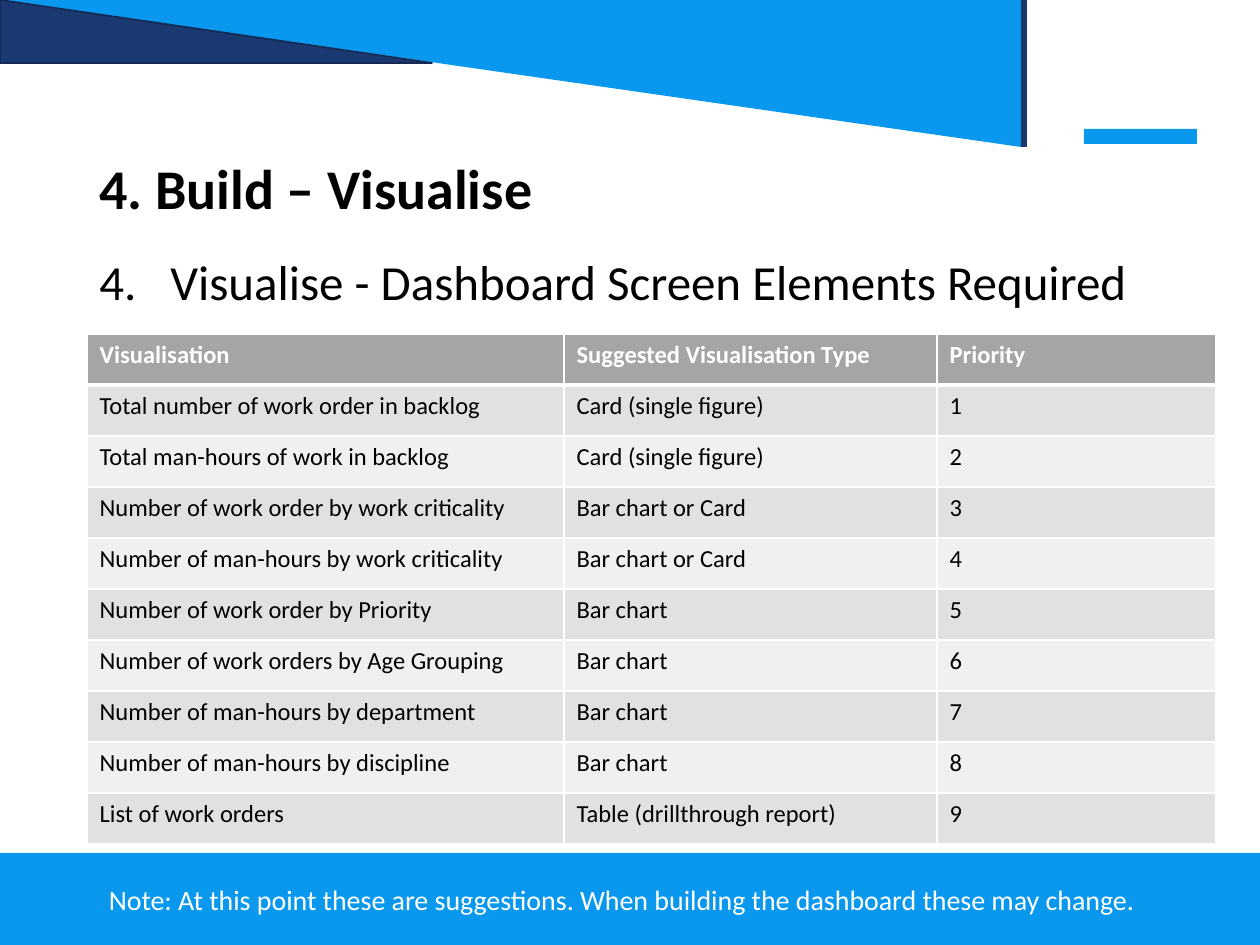
from lxml.etree import SubElement
from pptx import Presentation
from pptx.dml.color import RGBColor
from pptx.enum.shapes import MSO_SHAPE
from pptx.enum.text import MSO_ANCHOR, PP_ALIGN
from pptx.oxml.ns import qn
from pptx.util import Emu, Pt

EMU_PER_PX = 914400 / 126
FONT = "Calibri"
COLORS = {
    "blue": "0998ED",
    "navy": "1B3971",
    "navy_edge": "142A54",
    "black": "000000",
    "white": "FFFFFF",
    "header": "A5A5A5",
    "odd_row": "E1E1E1",
    "even_row": "F0F0F0",
}
COLUMN_WIDTHS = [477, 373, 279]
ROW_HEIGHT = 51
HEADINGS = ("Visualisation", "Suggested Visualisation Type", "Priority")
VISUALISATIONS = [
    ("Total number of work order in backlog", "Card (single figure)"),
    ("Total man-hours of work in backlog", "Card (single figure)"),
    ("Number of work order by work criticality", "Bar chart or Card"),
    ("Number of man-hours by work criticality", "Bar chart or Card"),
    ("Number of work order by Priority", "Bar chart"),
    ("Number of work orders by Age Grouping", "Bar chart"),
    ("Number of man-hours by department", "Bar chart"),
    ("Number of man-hours by discipline", "Bar chart"),
    ("List of work orders", "Table (drillthrough report)"),
]


def px(length):
    return Emu(round(length * EMU_PER_PX))


def color(name):
    return RGBColor.from_string(COLORS[name])


def add_block(slide, kind, box, fill, line=None):
    shape = slide.shapes.add_shape(kind, *map(px, box))
    shape.shadow.inherit = False
    shape.fill.solid()
    shape.fill.fore_color.rgb = color(fill)
    if line:
        shape.line.color.rgb = color(line)
        shape.line.width = Pt(1)
    else:
        shape.line.fill.background()
    return shape


def style_font(paragraph, size, color_name, bold=False):
    font = paragraph.font
    font.name = FONT
    font.size = Pt(size)
    font.bold = bold
    font.color.rgb = color(color_name)


def add_text(slide, box, text, size, color_name, bold=False, anchor=MSO_ANCHOR.TOP):
    frame = slide.shapes.add_textbox(*map(px, box)).text_frame
    frame.word_wrap = True
    frame.vertical_anchor = anchor
    paragraph = frame.paragraphs[0]
    paragraph.text = text
    style_font(paragraph, size, color_name, bold)
    return paragraph


def number_paragraph(paragraph, start, indent):
    properties = paragraph._p.get_or_add_pPr()
    properties.set("marL", str(px(indent)))
    properties.set("indent", str(-px(indent)))
    bullet = properties.makeelement(
        qn("a:buAutoNum"), {"type": "arabicPeriod", "startAt": str(start)}
    )
    properties.insert_element_before(bullet, "a:tabLst", "a:defRPr", "a:extLst")


def add_borders(cell, bottom_width):
    properties = cell._tc.get_or_add_tcPr()
    for side, width in (("L", 1), ("R", 1), ("T", 1), ("B", bottom_width)):
        line = SubElement(properties, qn(f"a:ln{side}"), w=str(Pt(width)))
        fill = SubElement(line, qn("a:solidFill"))
        SubElement(fill, qn("a:srgbClr"), val=COLORS["white"])


def fill_cell(cell, text, row_index):
    is_header = row_index == 0
    add_borders(cell, 3 if is_header else 1)
    cell.fill.solid()
    banding = "odd_row" if row_index % 2 else "even_row"
    cell.fill.fore_color.rgb = color("header" if is_header else banding)
    paragraph = cell.text_frame.paragraphs[0]
    paragraph.text = text
    style_font(paragraph, 14, "white" if is_header else "black", is_header)


def add_visualisation_table(slide, left, top):
    rows = [HEADINGS] + [
        (*entry, str(priority)) for priority, entry in enumerate(VISUALISATIONS, 1)
    ]
    box = (left, top, sum(COLUMN_WIDTHS), ROW_HEIGHT * len(rows))
    table = slide.shapes.add_table(len(rows), len(HEADINGS), *map(px, box)).table
    for column, width in zip(table.columns, COLUMN_WIDTHS):
        column.width = px(width)
    for row_index, row in enumerate(rows):
        table.rows[row_index].height = px(ROW_HEIGHT)
        for column_index, text in enumerate(row):
            fill_cell(table.cell(row_index, column_index), text, row_index)


def add_decoration(slide):
    wedge = add_block(slide, MSO_SHAPE.RIGHT_TRIANGLE, (0, 0, 1021, 147), "blue")
    wedge.rotation = 180
    add_block(slide, MSO_SHAPE.RECTANGLE, (1084, 129, 113, 15), "blue")
    add_block(slide, MSO_SHAPE.RECTANGLE, (1021, 0, 6, 147), "navy")
    add_block(slide, MSO_SHAPE.RIGHT_TRIANGLE, (0, 0, 432, 63), "navy", "navy_edge")
    add_block(slide, MSO_SHAPE.RECTANGLE, (0, 853, 1260, 92), "blue")


def main():
    presentation = Presentation()
    presentation.slide_width = px(1260)
    presentation.slide_height = px(945)
    slide = presentation.slides.add_slide(presentation.slide_layouts[6])

    add_decoration(slide)
    title = add_text(slide, (87, 149, 1086, 84), "4. Build – Visualise", 32, "black",
                     bold=True, anchor=MSO_ANCHOR.MIDDLE)
    title.line_spacing = 0.9
    subtitle = add_text(slide, (87, 252, 1086, 70),
                        "Visualise - Dashboard Screen Elements Required", 28, "black")
    subtitle.line_spacing = 0.9
    number_paragraph(subtitle, 4, 71)
    add_visualisation_table(slide, 87, 334)
    note = add_text(slide, (90, 876, 1064, 47),
                    "Note: At this point these are suggestions. "
                    "When building the dashboard these may change.", 16, "white")
    note.alignment = PP_ALIGN.CENTER
    note._p.getparent().bodyPr.set("wrap", "none")

    presentation.save("out.pptx")


if __name__ == "__main__":
    main()
